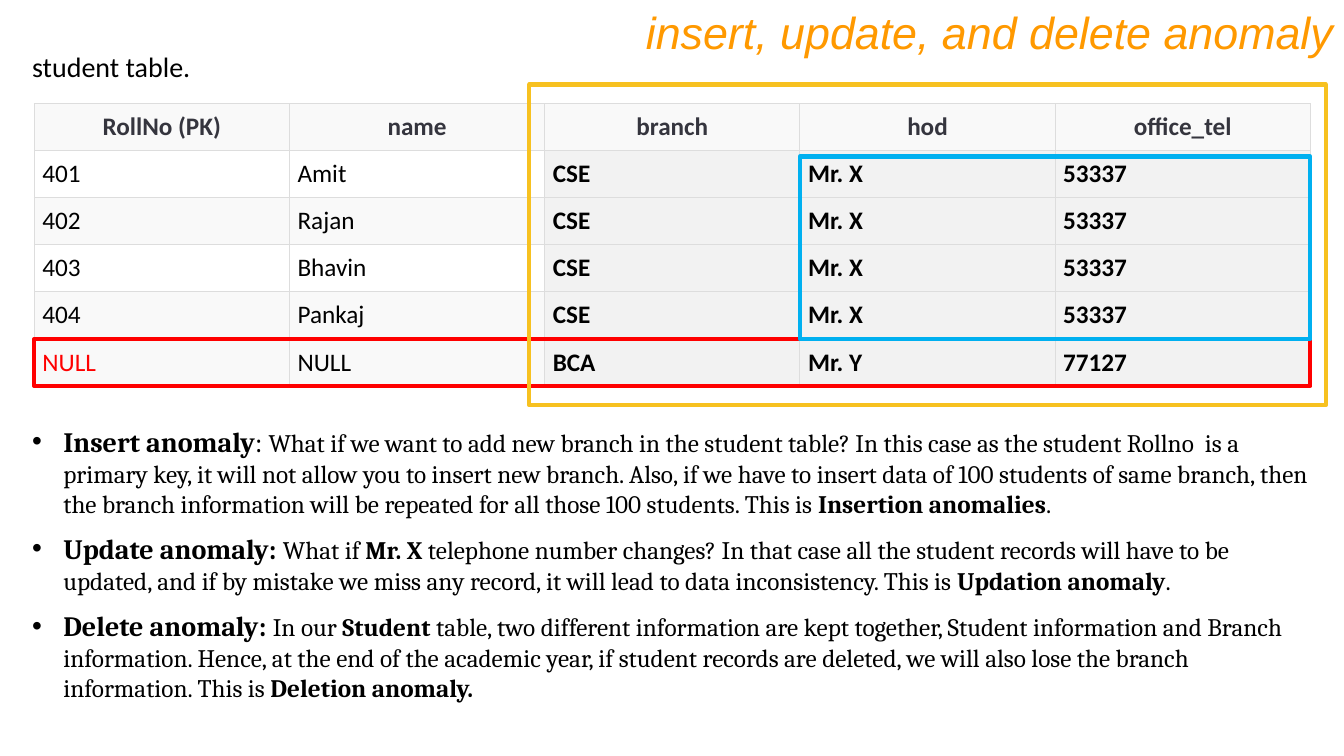
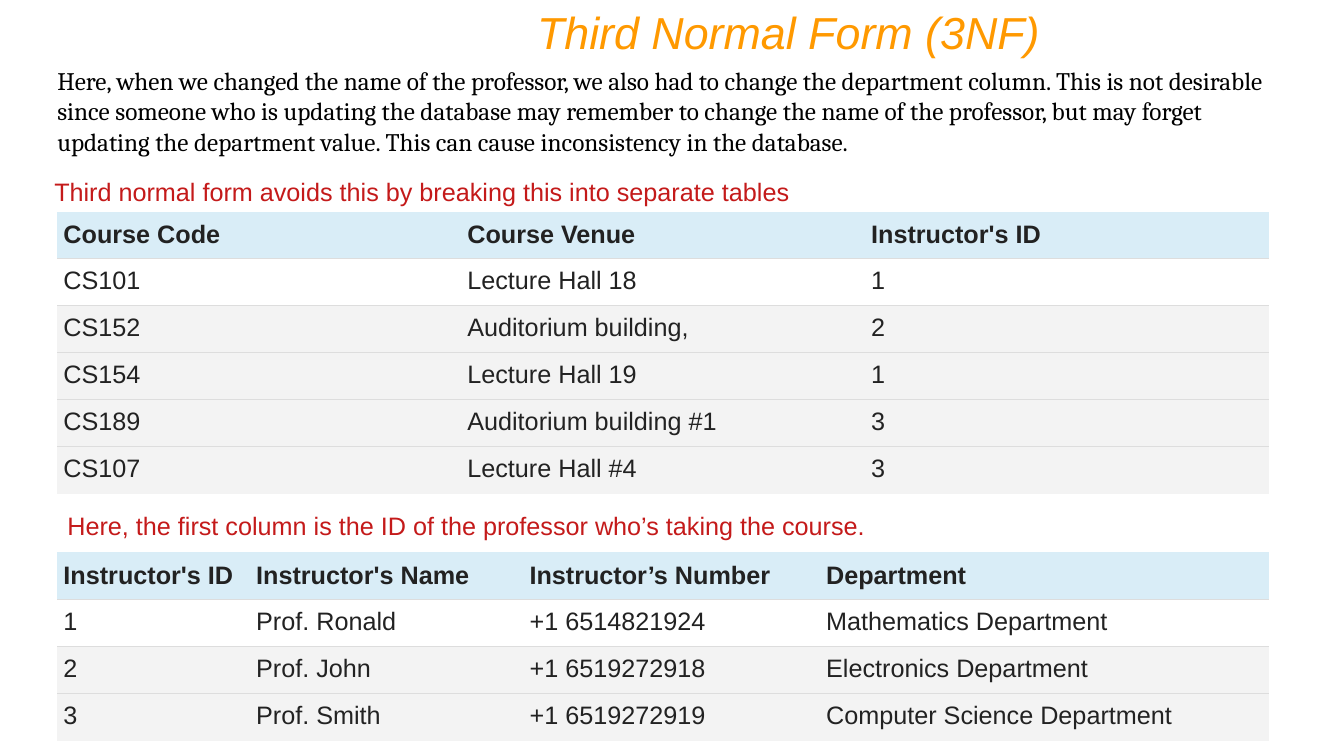
from collections import namedtuple

from lxml.etree import SubElement
from pptx import Presentation
from pptx.dml.color import RGBColor
from pptx.enum.shapes import MSO_SHAPE
from pptx.enum.text import MSO_ANCHOR, MSO_AUTO_SIZE, PP_ALIGN
from pptx.oxml.ns import qn
from pptx.util import Inches, Pt

COLORS = {
    "title": "FF9900", "text": "000000", "white": "FFFFFF", "rule": "DDDDDD",
    "head_text": "35353E", "head": "F9F9F9", "shade": "F2F2F2",
    "red": "FF0000", "blue": "00B0F0", "gold": "F7C120",
    "caption": "C41A1A", "cell_text": "222222", "sky": "D9EDF7", "band": "F3F3F3",
}
# The grid has ten columns and ten rows to the inch
COLS, ROWS = 133.33, 75
Box = namedtuple("Box", "x y w h")


def unit(n):
    return Inches(n / 10)


def place(box):
    return [unit(n) for n in box]


def color(name):
    return RGBColor.from_string(COLORS[name])


def part(box, shape, rows, cols):
    """Sub-box of a table: shape is (rows, cols), ranges are (first, end)."""
    h, w = box.h / shape[0], box.w / shape[1]
    return Box(box.x + cols[0] * w, box.y + rows[0] * h,
               (cols[1] - cols[0]) * w, (rows[1] - rows[0]) * h)


# Text
def add_bullet(p, indent=0.31):
    pPr = p._p.get_or_add_pPr()
    pPr.set("marL", str(Inches(indent)))
    pPr.set("indent", str(-Inches(indent)))
    SubElement(pPr, qn("a:buFont")).set("typeface", "Arial")
    SubElement(pPr, qn("a:buChar")).set("char", "•")


def write(tf, paragraphs, font="Arial", size=18, fill="text", bold=False,
          italic=False, align=PP_ALIGN.LEFT, bullet=False, gap=0):
    """Each paragraph is a string or a list of (text, size, bold) runs."""
    tf.word_wrap = True
    for i, runs in enumerate(paragraphs):
        p = tf.paragraphs[0] if i == 0 else tf.add_paragraph()
        if bullet:
            add_bullet(p)
        p.alignment = align
        if i:
            p.space_before = Pt(gap)
        if isinstance(runs, str):
            runs = [(runs, size, bold)]
        for text, run_size, run_bold in runs:
            r = p.add_run()
            r.text = text
            r.font.name, r.font.size = font, Pt(run_size)
            r.font.bold, r.font.italic = run_bold, italic
            r.font.color.rgb = color(fill)


def add_text(s, box, *paragraphs, **fmt):
    tf = s.shapes.add_textbox(*place(box)).text_frame
    tf.auto_size = MSO_AUTO_SIZE.SHAPE_TO_FIT_TEXT
    write(tf, paragraphs, **fmt)


def add_title(s, text, box):
    add_text(s, box, text, size=32, fill="title", italic=True, align=PP_ALIGN.RIGHT)


# Tables and frames
def set_borders(cell, sides):
    tcPr = cell._tc.get_or_add_tcPr()
    for side in "LRTB":
        ln = SubElement(tcPr, qn(f"a:ln{side}"), w=str(Pt(0.75)))
        if side in sides:
            fill = SubElement(ln, qn("a:solidFill"))
            SubElement(fill, qn("a:srgbClr"), val=COLORS["rule"])
        else:
            SubElement(ln, qn("a:noFill"))


def add_table(s, box, rows, widths, style, side_inset):
    """style(row, col) gives the cell's fill, borders and text format."""
    table = s.shapes.add_table(len(rows), len(widths), *place(box)).table
    table.first_row = table.horz_banding = False
    for col, width in zip(table.columns, widths):
        col.width = unit(box.w * width / sum(widths))
    for i, values in enumerate(rows):
        table.rows[i].height = unit(box.h / len(rows))
        for j, value in enumerate(values):
            cell = table.cell(i, j)
            fill, sides, fmt = style(i, j)
            set_borders(cell, sides)
            cell.fill.solid()
            cell.fill.fore_color.rgb = color(fill)
            cell.margin_left = cell.margin_right = Inches(side_inset)
            cell.margin_top = cell.margin_bottom = Inches(0.08)
            cell.vertical_anchor = MSO_ANCHOR.TOP if i else MSO_ANCHOR.MIDDLE
            write(cell.text_frame, [value], **fmt)


def add_frame(s, box, line):
    sp = s.shapes.add_shape(MSO_SHAPE.RECTANGLE, *place(box))
    sp.shadow.inherit = False
    sp.fill.background()
    sp.line.color.rgb = color(line)
    sp.line.width = Pt(3)


# Slide 1: anomalies
STUDENTS = [
    ["RollNo (PK)", "name", "branch", "hod", "office_tel"],
    ["401", "Amit", "CSE", "Mr. X", "53337"],
    ["402", "Rajan", "CSE", "Mr. X", "53337"],
    ["403", "Bhavin", "CSE", "Mr. X", "53337"],
    ["404", "Pankaj", "CSE", "Mr. X", "53337"],
    ["NULL", "NULL", "BCA", "Mr. Y", "77127"],
]
ANOMALIES = [
    [("Insert anomaly", 20, True), (": ", 20, False),
     ("What if we want to add new branch in the student table? In this case as the "
      "student Rollno  is a primary key, it will not allow you to insert new branch. "
      "Also, if we have to insert data of 100 students of same branch, then the branch "
      "information will be repeated for all those 100 students. This is ", 18, False),
     ("Insertion anomalies", 18, True), (".", 18, False)],
    [("Update anomaly: ", 20, True), ("What if ", 18, False), ("Mr. X ", 18, True),
     ("telephone number changes? In that case all the student records will have to be "
      "updated, and if by mistake we miss any record, it will lead to data "
      "inconsistency. This is ", 18, False),
     ("Updation anomaly", 18, True), (".", 18, False)],
    [("Delete anomaly: ", 20, True), ("In our ", 18, False), ("Student", 18, True),
     (" table, two different information are kept together, Student information and "
      "Branch information. Hence, at the end of the academic year, if student records "
      "are deleted, we will also lose the branch information. This is ", 18, False),
     ("Deletion anomaly.", 18, True)],
]


def student_style(i, j):
    if i == 0:
        return "head", "LRTB", dict(font="Calibri", fill="head_text", bold=True,
                                    align=PP_ALIGN.CENTER)
    last = len(STUDENTS) - 1
    plain = "head" if i % 2 == 0 or i == last else "white"
    return ("shade" if j > 1 else plain, "LRTB",
            dict(font="Calibri", bold=j > 1,
                 fill="red" if (i, j) == (last, 0) else "text"))


def student_table(s, box):
    shape = (len(STUDENTS), len(STUDENTS[0]))
    add_table(s, box, STUDENTS, [1] * shape[1], student_style, 0.08)
    add_frame(s, part(box, shape, (5, 6), (0, 5)), "red")
    add_frame(s, part(box, shape, (1.12, 5), (3, 5)), "blue")
    add_frame(s, part(box, shape, (-0.41, 6.41), (1.94, 5.06)), "gold")


def anomaly_slide(prs):
    s = prs.slides.add_slide(prs.slide_layouts[6])
    add_title(s, "insert, update, and delete anomaly", Box(0, 0, COLS, 6.4))
    add_text(s, Box(2.2, 4.4, 32, 4.4), "student table.", font="Calibri", size=20)
    student_table(s, Box(3.4, 10.3, 126.6, 28))
    add_text(s, Box(2.2, 41.6, 128.9, 28.9), *ANOMALIES,
             font="Cambria", bullet=True, gap=9.4)


# Slide 2: third normal form
COURSES = [
    ["Course Code", "Course Venue", "Instructor's ID"],
    ["CS101", "Lecture Hall 18", "1"],
    ["CS152", "Auditorium building,", "2"],
    ["CS154", "Lecture Hall 19", "1"],
    ["CS189", "Auditorium building #1", "3"],
    ["CS107", "Lecture Hall #4", "3"],
]
INSTRUCTORS = [
    ["Instructor's ID", "Instructor's Name", "Instructor’s Number", "Department"],
    ["1", "Prof. Ronald", "+1 6514821924", "Mathematics Department"],
    ["2", "Prof. John", "+1 6519272918", "Electronics Department"],
    ["3", "Prof. Smith", "+1 6519272919", "Computer Science Department"],
]


def captioned_table(s, caption_box, caption, box, rows, widths):
    def style(i, j):
        fill = ("sky", "white")[i] if i < 2 else "band"
        sides = ("T" if i else "") + ("B" if i < len(rows) - 1 else "")
        return fill, sides, dict(fill="cell_text", bold=i == 0)

    add_text(s, caption_box, caption, fill="caption")
    add_table(s, box, rows, widths, style, 0.06)


def normal_form_slide(prs):
    s = prs.slides.add_slide(prs.slide_layouts[6])
    add_title(s, "Third Normal Form (3NF)", Box(29.2, 0, 75, 6.4))
    add_text(s, Box(4.7, 6, 122.3, 10.1),
             "Here, when we changed the name of the professor, we also had to change the "
             "department column. This is not desirable since someone who is updating the "
             "database may remember to change the name of the professor, but may forget "
             "updating the department value. This can cause inconsistency in the database.",
             font="Cambria")
    captioned_table(s, Box(4.4, 17, 110, 4),
                    "Third normal form avoids this by breaking this into separate tables",
                    Box(5.7, 21, 120.2, 28), COURSES, [1, 1, 1])
    captioned_table(s, Box(5.7, 50.1, 111, 4),
                    "Here, the first column is the ID of the professor who’s taking the course.",
                    Box(5.7, 54.8, 120.2, 18.7), INSTRUCTORS, [1.91, 2.71, 2.94, 4.45])


def main():
    prs = Presentation()
    prs.slide_width, prs.slide_height = unit(COLS), unit(ROWS)
    anomaly_slide(prs)
    normal_form_slide(prs)
    prs.save("out.pptx")


if __name__ == "__main__":
    main()
